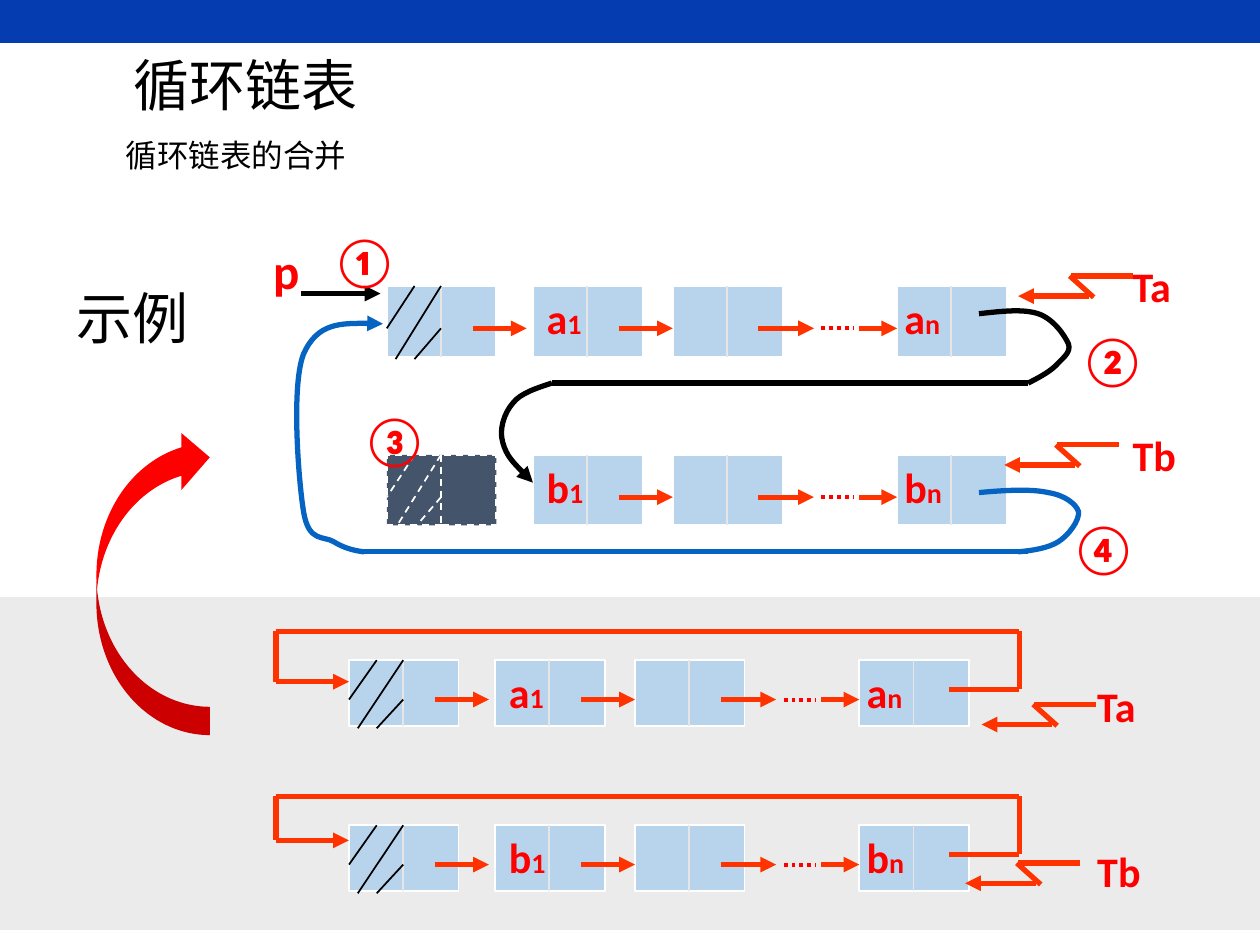
import dataclasses

import lxml.etree
import pptx
import pptx.dml.color
import pptx.enum.dml
import pptx.enum.shapes
import pptx.enum.text
import pptx.oxml.ns
import pptx.util

Inches = pptx.util.Inches
Shape = pptx.enum.shapes.MSO_SHAPE
Dash = pptx.enum.dml.MSO_LINE
qn = pptx.oxml.ns.qn


@dataclasses.dataclass(frozen=True)
class Theme:
    latin: str = "Calibri"
    chinese: str = "Noto Sans CJK SC"
    banner: str = "053CAF"
    panel: str = "EBEBEB"
    node: str = "B8D4EC"
    removed: str = "44546A"
    divider: str = "E7E6E6"
    link: str = "FF3300"
    accent: str = "FF0000"
    closing: str = "0563C1"
    ink: str = "000000"
    white: str = "FFFFFF"
    title: float = 32
    subtitle: float = 18
    step: float = 28
    label: float = 24
    index: float = 16
    thick: float = 3
    dots: float = 2.25
    thin: float = 1


class ListPage:
    def __init__(self, page, theme):
        self.page = page
        self.theme = theme

    def color(self, value):
        return pptx.dml.color.RGBColor.from_string(value)

    def stroke(self, line, color, width, dash=None, arrow=False):
        line.color.rgb = self.color(color)
        line.width = pptx.util.Pt(width)
        if dash:
            line.dash_style = dash
        if arrow:
            lxml.etree.SubElement(line._get_or_add_ln(), qn("a:tailEnd"), type="triangle")

    def block(self, left, top, width, height, fill, border=None, dash=None, kind=Shape.RECTANGLE):
        shape = self.page.shapes.add_shape(
            kind, Inches(left), Inches(top), Inches(width), Inches(height))
        shape.shadow.inherit = False
        shape.fill.solid()
        shape.fill.fore_color.rgb = self.color(fill)
        if border:
            self.stroke(shape.line, border, self.theme.thin, dash)
        else:
            shape.line.fill.background()
        return shape

    def line(self, start, end, color, width=None, dash=None, arrow=False):
        connector = self.page.shapes.add_connector(
            pptx.enum.shapes.MSO_CONNECTOR.STRAIGHT,
            *(Inches(value) for value in (*start, *end)))
        self.stroke(connector.line, color, width or self.theme.thick, dash, arrow)
        lxml.etree.SubElement(connector._element.spPr, qn("a:effectLst"))

    def curve(self, points, color, arrow=False):
        """Draw cubic curves: a start point, then two controls and an end for each."""
        places = [(Inches(x), Inches(y)) for x, y in points]
        builder = self.page.shapes.build_freeform(*places[0])
        builder.add_line_segments(places[1:], close=False)
        shape = builder.convert_to_shape()
        steps = list(shape._element.iter(qn("a:lnTo")))
        for first, second, third in zip(*[iter(steps)] * 3):
            first.tag = qn("a:cubicBezTo")
            for step in (second, third):
                first.append(step[0])
                step.getparent().remove(step)
        shape.shadow.inherit = False
        shape.fill.background()
        self.stroke(shape.line, color, self.theme.thick, arrow=arrow)

    def text(self, left, top, width, height, spans, color=None, bold=True, middle=False, font=None):
        """Write one line of text; spans holds (words, size) pairs."""
        box = self.page.shapes.add_textbox(
            Inches(left), Inches(top), Inches(width), Inches(height))
        frame = box.text_frame
        frame.word_wrap = True
        if middle:
            frame.vertical_anchor = pptx.enum.text.MSO_ANCHOR.MIDDLE
        else:
            frame.auto_size = pptx.enum.text.MSO_AUTO_SIZE.SHAPE_TO_FIT_TEXT
        para = frame.paragraphs[0]
        for words, size in spans:
            span = para.add_run()
            span.text = words
            span.font.name = font or self.theme.latin
            span.font.size = pptx.util.Pt(size)
            span.font.bold = bold
            span.font.color.rgb = self.color(color or self.theme.accent)
            lxml.etree.SubElement(span.font._element, qn("a:ea"), typeface=self.theme.chinese)

    def linked_list(self, left, top, height, letter, removed=False):
        """Draw a hatched head node, three data nodes, their links and labels."""
        theme = self.theme
        middle, below = top + 0.6 * height, top + height + 0.02
        dash = Dash.DASH if removed else None
        head_fill = theme.removed if removed else theme.node
        for offset in (0, 1.16, 2.27, 4.05):
            head = offset == 0
            self.block(left + offset, top, 0.87, height, head_fill if head else theme.node,
                       theme.white, dash if head else None)
            x = left + offset + 0.43
            self.line((x, top), (x, top + height),
                      theme.white if head and removed else theme.divider,
                      theme.thin, dash if head else None)
        hatch = theme.white if removed else theme.ink
        for x1, y1, x2, y2 in ((0.22, top, 0, middle), (0.43, top, 0.07, below),
                               (0.43, middle, 0.22, below)):
            self.line((left + x1, y1), (left + x2, y2), hatch, theme.thin, dash)
        links = [(1.84, 2.27), (2.95, 3.39), (3.75, 4.05)]
        if not removed:
            links.insert(0, (0.68, 1.11))
        for start, end in links:
            self.line((left + start, middle), (left + end, middle), theme.link, arrow=True)
        self.line((left + 3.45, middle), (left + 3.7, middle), theme.accent,
                  theme.dots, Dash.ROUND_DOT)
        for offset, index in ((1.17, "1"), (4.01, "n")):
            self.text(left + offset, top, 0.52, 0.5,
                      [(letter, theme.label), (index, theme.index)])

    def tail_pointer(self, x, y, name, label_left, label_top):
        """Draw a zigzag arrow with its tip at x, y, and its label."""
        link = self.theme.link
        self.line((x + 0.91, y - 0.16), (x + 0.42, y - 0.16), link)
        self.line((x + 0.41, y - 0.16), (x + 0.6, y + 0.01), link)
        self.line((x + 0.56, y), (x, y), link, arrow=True)
        self.text(label_left, label_top, 0.75, 0.5, [(name, self.theme.label)])

    def ring(self, top, entry):
        """Join the last node back to the head node."""
        left, right, roof, exit_y = 2.19, 8.09, top - 0.23, top + 0.23
        link = self.theme.link
        self.line((left, roof), (right, roof), link)
        self.line((left, roof), (left, entry), link)
        self.line((left, entry), (2.77, entry), link, arrow=True)
        self.line((right, roof), (right, exit_y), link)
        self.line((7.53, exit_y), (right, exit_y), link)


def main():
    deck = pptx.Presentation()
    deck.slide_width, deck.slide_height = Inches(10), Inches(7.5)
    theme = Theme()
    page = ListPage(deck.slides.add_slide(deck.slide_layouts[6]), theme)

    page.block(0, 0, 10, 0.34, theme.banner)
    page.block(0, 4.74, 10, 2.64, theme.panel)
    page.text(0.96, 0.29, 7.84, 0.75, [("循环链表", theme.title)], theme.ink,
              bold=False, middle=True, font=theme.chinese)
    page.text(0.9, 0.95, 3.98, 0.56, [("循环链表的合并", theme.subtitle)], theme.ink,
              bold=False, middle=True)
    page.text(0.51, 2.2, 1.26, 0.64, [("示例", theme.title)], theme.ink, bold=False)

    # Before merging: two separate rings
    for top, letter, entry, tip in ((5.24, "a", 5.41, (7.79, 5.75)),
                                    (6.55, "b", 6.67, (7.66, 7.01))):
        page.linked_list(2.77, top, 0.52, letter)
        page.ring(top, entry)
        page.tail_pointer(*tip, "T" + letter, 8.61, top + 0.11)

    # After merging: one ring without the second head node
    for top, letter, tip in ((2.27, "a", (8.08, 2.35)), (3.61, "b", (7.97, 3.69))):
        page.linked_list(3.07, top, 0.56, letter, removed=letter == "b")
        page.tail_pointer(*tip, "T" + letter, 8.89, top - 0.25)

    page.line((4.38, 3.04), (8.16, 3.04), theme.ink)
    page.curve([(4.38, 3.04), (4.26, 3.08), (4.13, 3.12), (4.07, 3.2),
                (4, 3.28), (3.96, 3.41), (3.99, 3.51),
                (4.02, 3.62), (4.12, 3.72), (4.23, 3.83)], theme.ink, arrow=True)
    page.curve([(7.77, 2.49), (7.95, 2.47), (8.12, 2.45), (8.24, 2.49),
                (8.36, 2.53), (8.45, 2.66), (8.48, 2.73),
                (8.5, 2.79), (8.45, 2.83), (8.4, 2.88),
                (8.35, 2.94), (8.26, 2.99), (8.16, 3.04)], theme.ink)
    page.line((2.89, 4.38), (8.16, 4.38), theme.closing)
    page.curve([(7.77, 3.91), (7.98, 3.89), (8.19, 3.88), (8.32, 3.91),
                (8.45, 3.93), (8.54, 4), (8.56, 4.06),
                (8.57, 4.13), (8.48, 4.25), (8.4, 4.3),
                (8.32, 4.35), (8.2, 4.37), (8.08, 4.38)], theme.closing)
    page.curve([(2.89, 4.38), (2.81, 4.37), (2.73, 4.35), (2.65, 4.3),
                (2.57, 4.25), (2.45, 4.31), (2.41, 4.06),
                (2.37, 3.82), (2.31, 3.06), (2.41, 2.81),
                (2.52, 2.56), (2.78, 2.56), (3.04, 2.57)], theme.closing, arrow=True)
    page.line((2.39, 2.33), (3.02, 2.33), theme.ink, arrow=True)
    for words, left, top in (("p", 2.07, 1.86), ("①", 2.54, 1.78), ("②", 8.48, 2.57),
                             ("③", 2.78, 3.2), ("④", 8.41, 4.06)):
        page.text(left, top, 0.6, 0.57, [(words, theme.step)])

    merge_arrow = page.block(0, 4.17, 2.43, 0.9, theme.accent, kind=Shape.CURVED_UP_ARROW)
    merge_arrow.rotation = 270
    merge_arrow._element.spPr.xfrm.set("flipV", "1")
    for place, share in enumerate((0.25, 0.5, 0.25)):
        merge_arrow.adjustments[place] = share

    deck.save("out.pptx")


if __name__ == "__main__":
    main()
